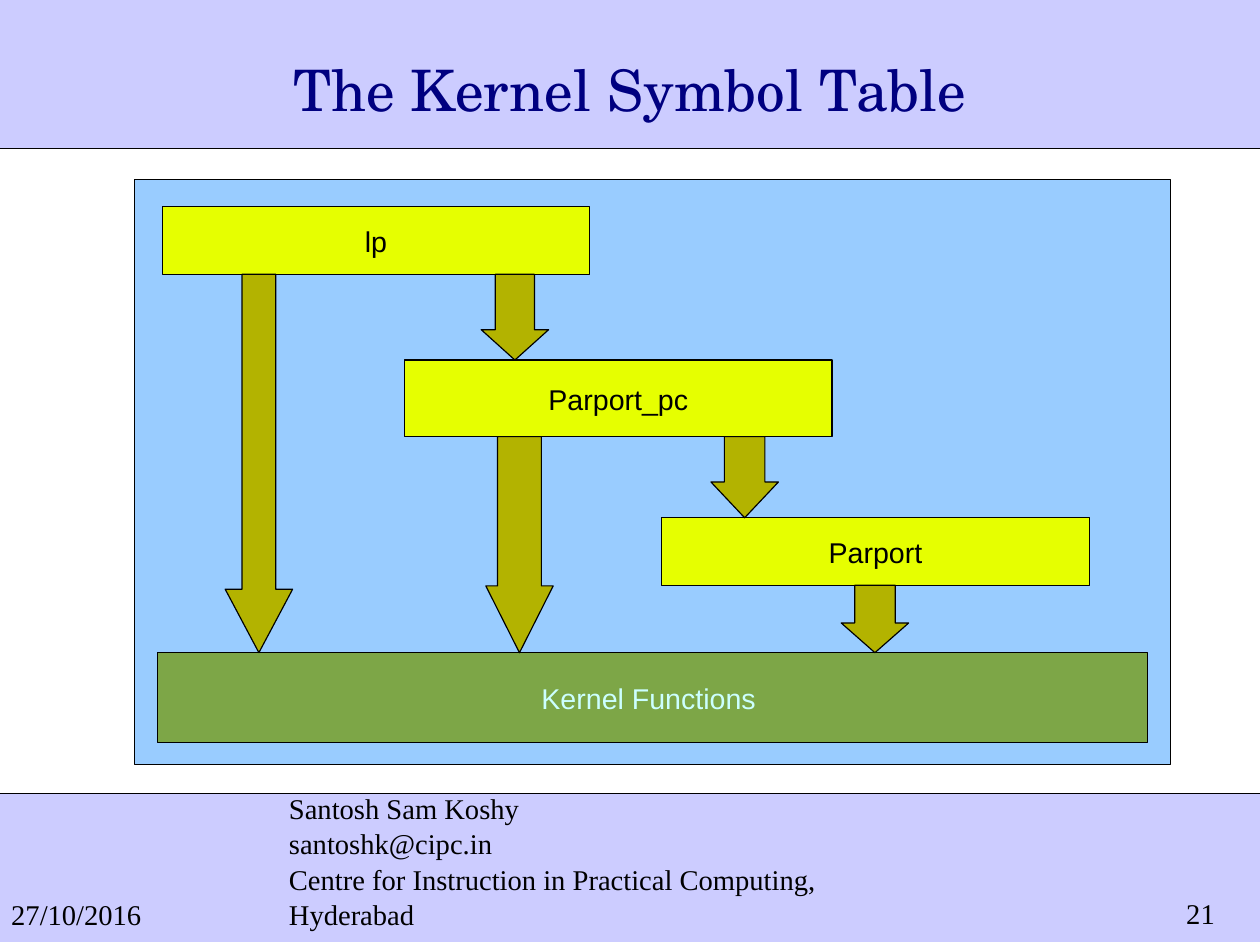
from dataclasses import dataclass
from typing import NamedTuple

from lxml.etree import SubElement
from pptx import Presentation
from pptx.dml.color import RGBColor
from pptx.enum.shapes import MSO_CONNECTOR as Connector, MSO_SHAPE as Preset
from pptx.enum.text import MSO_ANCHOR as Anchor, PP_ALIGN as Align
from pptx.oxml.ns import qn
from pptx.util import Inches, Pt


@dataclass(frozen=True)
class Theme:
    band: str = "CCCCFF"
    panel: str = "99CCFF"
    module: str = "E6FF00"
    kernel: str = "7DA647"
    kernel_text: str = "CCFFFF"
    arrow: str = "B3B300"
    ink: str = "000000"
    title: str = "000080"
    title_font: str = "TeX Gyre Schola"
    label_font: str = "Arial"
    footer_font: str = "Times New Roman"
    title_size: int = 36
    body_size: int = 18
    outline: float = 0.74
    rule: float = 0.57


class Box(NamedTuple):
    left: float
    top: float
    width: float
    height: float

    @property
    def bottom(self):
        return self.top + self.height

    def inside(self, left, top, width, height):
        return Box(self.left + left, self.top + top, width, height)

    def lengths(self):
        return [Inches(value) for value in self]


THEME = Theme()
# The page measures 28 by 21 centimetres
SLIDE_WIDTH, SLIDE_HEIGHT = 28 / 2.54, 21 / 2.54


def write_text(shape, text, *, font, size=THEME.body_size, color=THEME.ink,
               align=Align.LEFT, anchor=Anchor.MIDDLE, spacing=1.04, wrap=True, margin=None):
    frame = shape.text_frame
    frame.word_wrap = wrap
    frame.vertical_anchor = anchor
    if margin is not None:
        frame.margin_left = frame.margin_right = Inches(margin)
        frame.margin_top = frame.margin_bottom = Inches(margin)
    frame.text = text
    for paragraph in frame.paragraphs:
        paragraph.alignment = align
        paragraph.line_spacing = spacing
        for run in paragraph.runs:
            run.font.name = font
            run.font.size = Pt(size)
            run.font.color.rgb = RGBColor.from_string(color)


def add_filled(slide, box, fill, *, preset=Preset.RECTANGLE, line=THEME.ink):
    shape = slide.shapes.add_shape(preset, *box.lengths())
    shape.shadow.inherit = False
    shape.fill.solid()
    shape.fill.fore_color.rgb = RGBColor.from_string(fill)
    shape.line.color.rgb = RGBColor.from_string(line)
    shape.line.width = Pt(THEME.outline)
    return shape


def add_rule(slide, left, top, width):
    rule = slide.shapes.add_connector(
        Connector.STRAIGHT, Inches(left), Inches(top), Inches(left + width), Inches(top))
    rule.line.color.rgb = RGBColor.from_string(THEME.ink)
    rule.line.width = Pt(THEME.rule)
    SubElement(rule._element.spPr, qn("a:effectLst"))


def add_header(slide, box):
    add_filled(slide, box, THEME.band, line=THEME.band)
    add_rule(slide, box.left, box.bottom, box.width)
    title = slide.shapes.add_textbox(*box.inside(0.74, 0.38, 9.54, 0.74).lengths())
    write_text(title, "The Kernel Symbol Table", font=THEME.title_font, size=THEME.title_size,
               color=THEME.title, align=Align.CENTER, spacing=1.08, margin=0)


def add_footer(slide, box):
    add_filled(slide, box, THEME.band, line=THEME.band)
    add_rule(slide, box.left, box.top, box.width)
    contact = "\n".join([
        "Santosh Sam Koshy",
        "santoshk@cipc.in",
        "Centre for Instruction in Practical Computing, Hyderabad",
    ])
    for text, place in [
        ("27/10/2016", (0, 0.75, 2.26, 0.51)),
        (contact, (2.43, -0.09, 5.83, 1.35)),
        ("21", (10.28, 0.84, 0.68, 0.41)),
    ]:
        text_box = slide.shapes.add_textbox(*box.inside(*place).lengths())
        write_text(text_box, text, font=THEME.footer_font, anchor=Anchor.BOTTOM)


def add_module_diagram(slide, box):
    add_filled(slide, box, THEME.panel)

    # Stacked modules above the kernel bar
    module_width, arrow_width = 3.74, 0.59
    kernel = "Kernel Functions "
    layers = {
        "lp": box.inside(0.24, 0.24, module_width, 0.59),
        "Parport_pc": box.inside(2.36, 1.58, module_width, 0.67),
        "Parport": box.inside(4.61, 2.96, module_width, 0.59),
        kernel: box.inside(0.2, 4.14, 8.66, 0.79),
    }
    for name, place in layers.items():
        is_kernel = name == kernel
        layer = add_filled(slide, place, THEME.kernel if is_kernel else THEME.module)
        write_text(layer, name, font=THEME.label_font, align=Align.CENTER, wrap=False,
                   color=THEME.kernel_text if is_kernel else THEME.ink)

    # Each arrow spans the gap between a module and the layer it uses
    for user, used, left, shaft, head in [
        ("lp", kernel, 0.79, 0.5, 0.94),
        ("lp", "Parport_pc", 3.03, 0.58, 0.45),
        ("Parport_pc", kernel, 3.07, 0.65, 0.99),
        ("Parport_pc", "Parport", 5.04, 0.6, 0.53),
        ("Parport", kernel, 6.18, 0.6, 0.44),
    ]:
        start, end = layers[user].bottom, layers[used].top
        arrow = add_filled(slide, Box(box.left + left, start, arrow_width, end - start),
                           THEME.arrow, preset=Preset.DOWN_ARROW)
        arrow.adjustments[0] = shaft
        arrow.adjustments[1] = head


presentation = Presentation()
presentation.slide_width = Inches(SLIDE_WIDTH)
presentation.slide_height = Inches(SLIDE_HEIGHT)
slide = presentation.slides.add_slide(presentation.slide_layouts[6])

add_footer(slide, Box(0, 6.94, SLIDE_WIDTH, 1.3))
add_header(slide, Box(0, 0, SLIDE_WIDTH, 1.3))
add_module_diagram(slide, Box(1.18, 1.57, 9.06, 5.12))

presentation.save("out.pptx")
